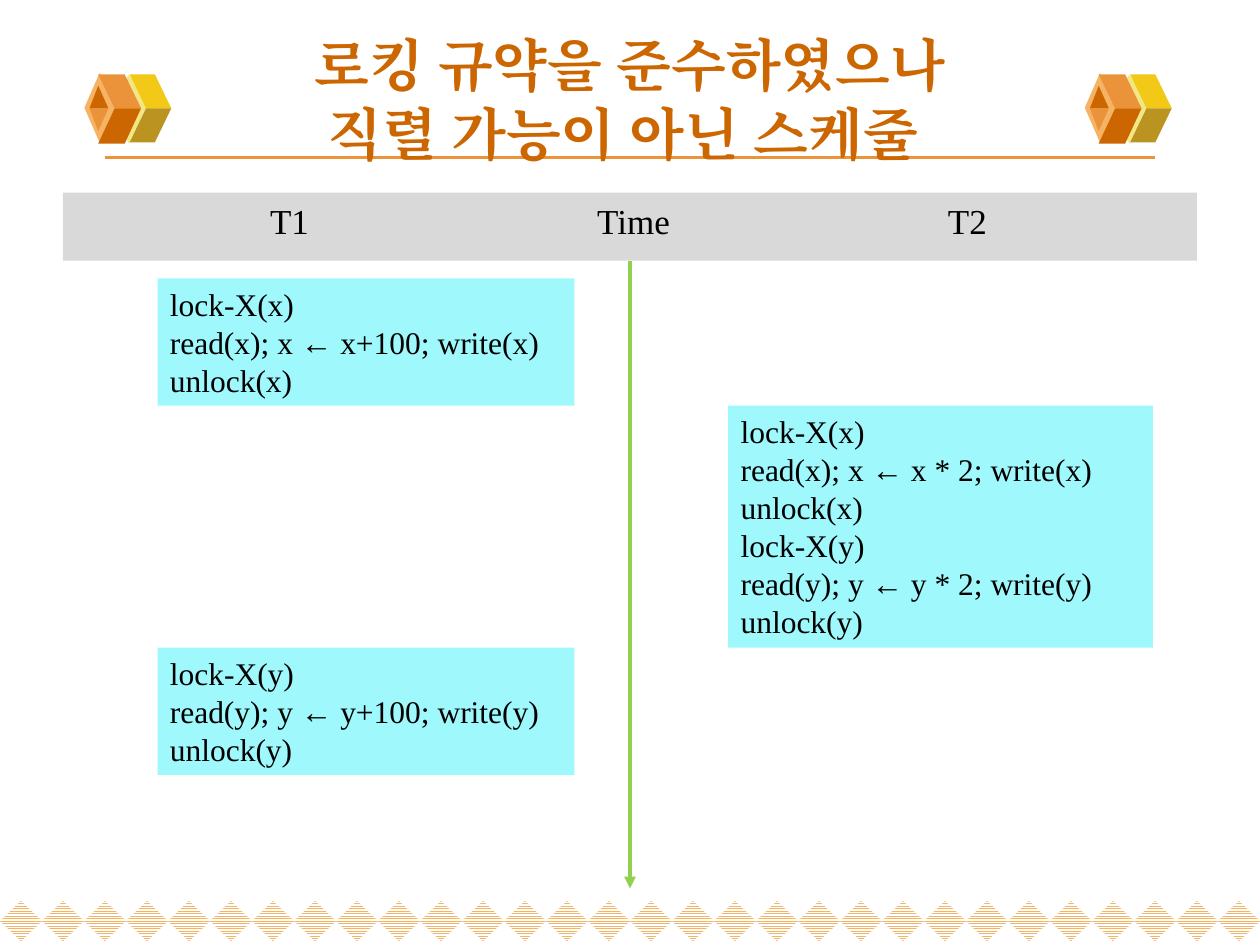
from lxml.etree import SubElement
from pptx import Presentation
from pptx.dml.color import RGBColor
from pptx.enum.dml import MSO_PATTERN
from pptx.enum.shapes import MSO_CONNECTOR, MSO_SHAPE
from pptx.enum.text import MSO_ANCHOR, MSO_AUTO_SIZE, PP_ALIGN
from pptx.oxml.ns import qn
from pptx.util import Inches, Pt

ORANGE = "EB933B"
DARK_ORANGE = "CC6600"
PALE_ORANGE = "F5B363"
CYAN = "9EF8FC"


def rgb(color):
    return RGBColor.from_string(color)


class Deck:
    font = "Times New Roman"
    leading = 1.205

    def __init__(self, prs):
        self.slide = prs.slides.add_slide(prs.slide_layouts[5])
        self.shapes = self.slide.shapes

    def style(self, p, size, color="000000", bold=False):
        p.line_spacing = Pt(round(size * self.leading, 1))
        p.font.name = self.font
        p.font.size = Pt(size)
        p.font.bold = bold
        p.font.color.rgb = rgb(color)
        props = p._p.get_or_add_pPr().get_or_add_defRPr()
        SubElement(props, qn("a:ea"), typeface=self.font)

    def paint(self, sp, color):
        sp.shadow.inherit = False
        sp.line.fill.background()
        sp.fill.solid()
        sp.fill.fore_color.rgb = rgb(color)

    def shape(self, kind, left, top, width, height, color):
        sp = self.shapes.add_shape(
            kind, Inches(left), Inches(top), Inches(width), Inches(height))
        self.paint(sp, color)
        return sp

    def polygon(self, points, color):
        points = [(Inches(x), Inches(y)) for x, y in points]
        builder = self.shapes.build_freeform(*points[0])
        builder.add_line_segments(points[1:], close=True)
        self.paint(builder.convert_to_shape(), color)

    def line(self, x1, y1, x2, y2, color, arrow=False):
        line = self.shapes.add_connector(
            MSO_CONNECTOR.STRAIGHT, Inches(x1), Inches(y1), Inches(x2), Inches(y2))
        line.line.color.rgb = rgb(color)
        line.line.width = Pt(2.25)
        if arrow:
            SubElement(line.line._get_or_add_ln(), qn("a:tailEnd"), type="triangle")
        SubElement(line._element.spPr, qn("a:effectLst"))

    def pattern_row(self, count, top, height):
        step = 10 / count
        for i in range(count):
            sp = self.shape(MSO_SHAPE.DIAMOND, i * step, top, step, height, "FFFFFF")
            sp.fill.patterned()
            sp.fill.pattern = MSO_PATTERN.NARROW_HORIZONTAL
            sp.fill.fore_color.rgb = rgb(PALE_ORANGE)
            sp.fill.back_color.rgb = rgb("FFFFFF")

    def cube(self, x):
        def face(left, right, top, color, shift):
            self.polygon([(x + left + shift, 0.86), (x + right + shift, 0.86),
                          (x + right, top), (x + left, top)], color)

        self.shape(MSO_SHAPE.DIAMOND, x + 0.19, 0.59, 0.33, 0.55, "F1E785")
        face(0.36, 0.56, 0.59, "F3C917", 0.13)
        face(0.36, 0.56, 1.13, "BB9321", 0.13)
        self.shape(MSO_SHAPE.DIAMOND, x, 0.58, 0.24, 0.55, PALE_ORANGE)
        face(0.11, 0.32, 0.59, ORANGE, 0.13)
        face(0.11, 0.32, 1.14, DARK_ORANGE, 0.13)
        for tip, color in ((0.68, DARK_ORANGE), (1.04, ORANGE)):
            self.polygon([(x + 0.11, tip), (x + 0.04, 0.86), (x + 0.19, 0.86)], color)

    def title(self, text):
        sp = self.shapes.title
        sp.left, sp.top, sp.width, sp.height = (
            Inches(0.5), Inches(0.29), Inches(9), Inches(0.98))
        tf = sp.text_frame
        tf.auto_size = MSO_AUTO_SIZE.NONE
        tf.vertical_anchor = MSO_ANCHOR.MIDDLE
        p = tf.paragraphs[0]
        p.text = text
        p.alignment = PP_ALIGN.CENTER
        self.style(p, 32.4, DARK_ORANGE, True)
        self.shapes._spTree.append(sp._element)

    def box(self, left, top, width, height, lines, color, size=18, tabs=()):
        sp = self.shape(MSO_SHAPE.RECTANGLE, left, top, width, height, color)
        tf = sp.text_frame
        tf.word_wrap = True
        tf.vertical_anchor = MSO_ANCHOR.TOP
        for i, text in enumerate(lines):
            p = tf.add_paragraph() if i else tf.paragraphs[0]
            p.text = text
            p.alignment = PP_ALIGN.LEFT
            if tabs:
                tab_list = SubElement(p._p.get_or_add_pPr(), qn("a:tabLst"))
                for pos in tabs:
                    SubElement(tab_list, qn("a:tab"), pos=str(Inches(pos)), algn="ctr")
            self.style(p, size)


def steps(item, change):
    return [f"lock-X({item})",
            f"read({item}); {item} ← {item}{change}; write({item})",
            f"unlock({item})"]


def main():
    prs = Presentation()
    prs.slide_width, prs.slide_height = Inches(10), Inches(7.5)
    s = Deck(prs)
    s.pattern_row(30, 7.15, 0.32)
    s.line(0.83, 1.25, 9.17, 1.25, ORANGE)
    for x in (0.67, 8.61):
        s.cube(x)
    s.title("로킹 규약을 준수하였으나\v직렬 가능이 아닌 스케줄 ")
    s.box(0.5, 1.53, 9, 0.54, ["\tT1\tTime\tT2"], "D9D9D9", 20, (1.7, 4.43, 7.08))
    s.line(5, 2.07, 5, 7.05, "92D050", arrow=True)
    s.box(1.25, 2.21, 3.31, 1.01, steps("x", "+100"), CYAN)
    s.box(5.78, 3.22, 3.37, 1.92, steps("x", " * 2") + steps("y", " * 2"), CYAN)
    s.box(1.25, 5.14, 3.31, 1.01, steps("y", "+100"), CYAN)
    prs.save("out.pptx")


if __name__ == "__main__":
    main()
